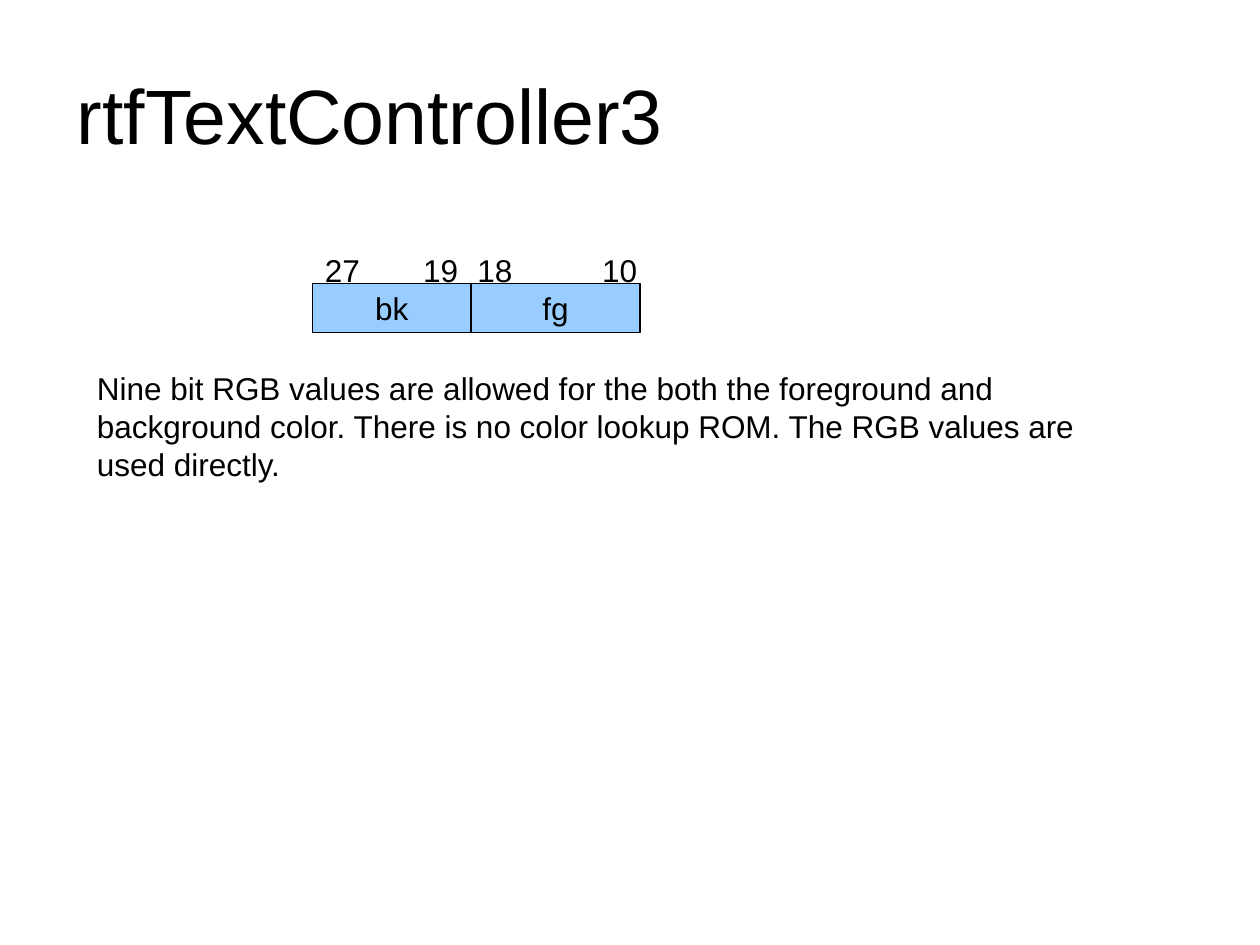
from pptx import Presentation
from pptx.dml.color import RGBColor
from pptx.enum.shapes import MSO_SHAPE
from pptx.enum.text import MSO_ANCHOR, PP_ALIGN
from pptx.util import Inches, Pt

RECTANGLE = MSO_SHAPE.RECTANGLE
MIDDLE = MSO_ANCHOR.MIDDLE
LEFT, CENTER = PP_ALIGN.LEFT, PP_ALIGN.CENTER

# Content
TITLE = "rtfTextController3"
NOTE = ("Nine bit RGB values are allowed for the both the foreground and "
        "background color. There is no color lookup ROM. "
        "The RGB values are used directly.")
FIELDS = [("bk", 2.48, 1.26), ("fg", 3.74, 1.34)]  # name, left, width
BITS = [("27", 2.48), ("19", 3.26), ("18", 3.69), ("10", 4.68)]  # number, left
COLORS = {"text": "000000", "field": "99CCFF", "line": "000000"}
FONT = "Arial"

FIELD_TOP, FIELD_HEIGHT = 2.25, 0.39
BIT_TOP, BIT_WIDTH, BIT_HEIGHT = 1.94, 0.48, 0.4


def color(name):
    return RGBColor.from_string(COLORS[name])


def write(box, text, size=18, align=LEFT, wrap=True):
    frame = box.text_frame
    frame.word_wrap = wrap
    frame.margin_left = frame.margin_right = Inches(0.1)
    frame.margin_top = frame.margin_bottom = Inches(0.05)
    para = frame.paragraphs[0]
    para.alignment = align
    span = para.add_run()
    span.text = text
    span.font.name = FONT
    span.font.size = Pt(size)
    span.font.color.rgb = color("text")


def add_text(page, text, left, top, width, height, wrap=True):
    box = page.shapes.add_textbox(*map(Inches, (left, top, width, height)))
    write(box, text, wrap=wrap)


def add_field(page, name, left, width):
    box = page.shapes.add_shape(
        RECTANGLE, *map(Inches, (left, FIELD_TOP, width, FIELD_HEIGHT)))
    box.shadow.inherit = False
    box.fill.solid()
    box.fill.fore_color.rgb = color("field")
    box.line.color.rgb = color("line")
    box.line.width = Pt(0.75)
    box.text_frame.vertical_anchor = MIDDLE
    write(box, name, align=CENTER, wrap=False)


def main():
    deck = Presentation()
    deck.slide_width, deck.slide_height = Inches(10), Inches(7.5)
    page = deck.slides.add_slide(deck.slide_layouts[5])

    # Title
    title = page.shapes.title
    title.left, title.top = Inches(0.51), Inches(0.28)
    title.width, title.height = Inches(9), Inches(1.25)
    title.text_frame.vertical_anchor = MIDDLE
    write(title, TITLE, size=44)

    # Bit numbers above the register fields
    for number, left in BITS:
        add_text(page, number, left, BIT_TOP, BIT_WIDTH, BIT_HEIGHT, wrap=False)

    # Register fields
    for name, left, width in FIELDS:
        add_field(page, name, left, width)

    # Explanation
    add_text(page, NOTE, 0.67, 2.88, 8.51, 1)

    deck.save("out.pptx")


if __name__ == "__main__":
    main()
